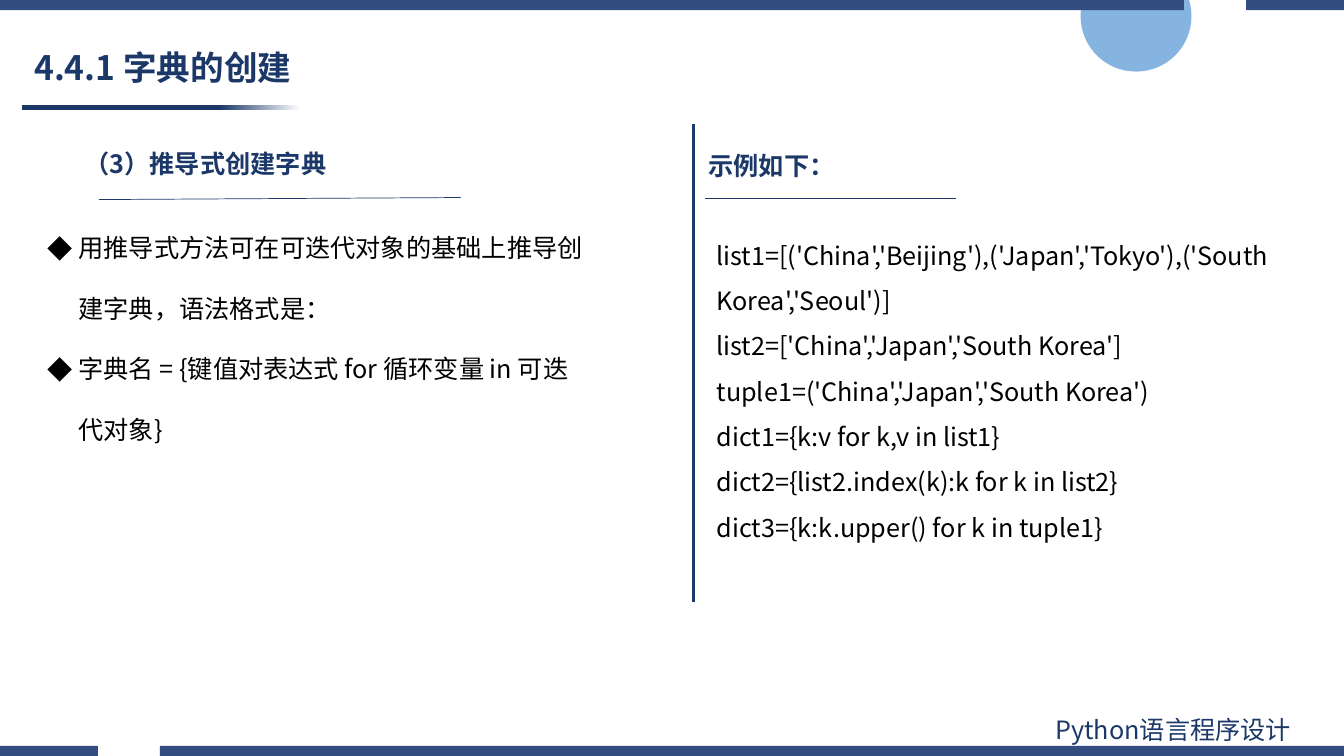
from lxml import etree
from pptx import Presentation, util as u
from pptx.dml.color import RGBColor
from pptx.enum import shapes, text
from pptx.oxml.ns import qn

NAVY = RGBColor(0x1B, 0x38, 0x68)
BAR = RGBColor(0x33, 0x4D, 0x80)
SKY = RGBColor(0x5B, 0x9B, 0xD5)
WHITE = RGBColor(0xFF, 0xFF, 0xFF)
BLACK = RGBColor(0, 0, 0)
FACE = "Noto Sans CJK SC"

PLAIN = {"size": u.Pt(18), "bold": False, "name": FACE}
HEAD = {**PLAIN, "bold": True}
TITLE = {**HEAD, "size": u.Pt(24)}

POINTS = [
    "用推导式方法可在可迭代对象的基础上推导创建字典，语法格式是：",
    "字典名 = {键值对表达式 for 循环变量 in 可迭代对象}",
]
CODE = [
    "list1=[('China','Beijing'),('Japan','Tokyo'),('South Korea','Seoul')]",
    "list2=['China','Japan','South Korea']",
    "tuple1=('China','Japan','South Korea')",
    "dict1={k:v for k,v in list1}",
    "dict2={list2.index(k):k for k in list2}",
    "dict3={k:k.upper() for k in tuple1}",
]


class Page:
    """One slide; all lengths are percentages of its width and height."""

    def __init__(self, deck):
        self.wide, self.high = deck.slide_width, deck.slide_height
        self.slide = deck.slides.add_slide(deck.slide_layouts[5])
        self.items = self.slide.shapes

    def x(self, part):
        return u.Emu(round(self.wide * part / 100))

    def y(self, part):
        return u.Emu(round(self.high * part / 100))

    def box(self, left, top, wide, high):
        return self.x(left), self.y(top), self.x(wide), self.y(high)

    def shape(self, kind, *area):
        item = self.items.add_shape(kind, *self.box(*area))
        item.shadow.inherit = False
        item.line.fill.background()
        return item

    def disc(self, *area, alpha):
        item = self.shape(shapes.MSO_SHAPE.OVAL, *area)
        item.fill.solid()
        item.fill.fore_color.rgb = SKY
        tint = item._element.spPr.find(qn("a:solidFill"))[0]
        etree.SubElement(tint, qn("a:alpha")).set("val", str(alpha * 1000))

    def fade(self, *area, start):
        """Bar that is navy up to the share start, then fades to white."""
        fill = self.shape(shapes.MSO_SHAPE.RECTANGLE, *area).fill
        fill.gradient()
        fill.gradient_angle = 0
        for stop, tint, place in zip(fill.gradient_stops, (NAVY, WHITE), (start, 1)):
            stop.color.rgb = tint
            stop.position = place

    def band(self, top, high, spans):
        """Strip across the slide, drawn as one outline with gaps."""
        low, base = self.y(top), self.y(top + high)
        pen = self.items.build_freeform(self.x(spans[0][0]), low)
        for left, right in spans:
            start, end = self.x(left), self.x(right)
            pen.move_to(start, low)
            pen.add_line_segments([(end, low), (end, base), (start, base)])
        item = pen.convert_to_shape()
        item.shadow.inherit = False
        item.fill.solid()
        item.fill.fore_color.rgb = BAR
        item.line.fill.background()

    def line(self, left, top, right, base, width=0.5):
        item = self.items.add_connector(
            shapes.MSO_CONNECTOR.STRAIGHT,
            self.x(left), self.y(top), self.x(right), self.y(base))
        item.line.color.rgb = NAVY
        item.line.width = u.Pt(width)
        etree.SubElement(item._element.spPr, qn("a:effectLst"))

    def fill_in(self, frame, lines, style, tint, gap, mark=None):
        frame.word_wrap = True
        for i, words in enumerate(lines):
            para = frame.paragraphs[0] if i == 0 else frame.add_paragraph()
            para.alignment = text.PP_ALIGN.LEFT
            para.line_spacing = gap
            if mark:
                props = para._p.get_or_add_pPr()
                props.set("marL", str(u.Inches(0.31)))
                props.set("indent", str(u.Inches(-0.31)))
                etree.SubElement(props, qn("a:buFont")).set("typeface", FACE)
                etree.SubElement(props, qn("a:buChar")).set("char", mark)
            run = para.add_run()
            run.text = words
            for key, value in style.items():
                setattr(run.font, key, value)
            run.font.color.rgb = tint
            etree.SubElement(run._r.get_or_add_rPr(), qn("a:ea")).set("typeface", FACE)

    def text(self, area, *lines, style=PLAIN, tint=BLACK, gap=1.0, mark=None):
        item = self.items.add_textbox(*self.box(*area))
        self.fill_in(item.text_frame, lines, style, tint, gap, mark)

    def title(self, area, words):
        item = self.items.title
        item.left, item.top, item.width, item.height = self.box(*area)
        frame = item.text_frame
        frame.auto_size = text.MSO_AUTO_SIZE.NONE
        frame.vertical_anchor = text.MSO_ANCHOR.MIDDLE
        self.fill_in(frame, [words], TITLE, NAVY, 0.9)


def main():
    deck = Presentation()
    deck.slide_width, deck.slide_height = u.Inches(13.33), u.Inches(7.5)
    page = Page(deck)

    page.disc(80.4, -5.2, 8.25, 14.67, alpha=75)
    page.fade(1.65, 13.93, 20.7, 0.67, start=0.71)
    spans = [(0, 7.28), (11.9, 100)]
    page.band(98.67, 1.33, spans)
    page.band(0, 1.33, [(100 - right, 100 - left) for left, right in spans])
    page.text((77.78, 93.87, 22.05, 5.33), "Python语言程序设计", tint=NAVY)
    page.title((1.8, 5.47, 45.3, 7.47), "4.4.1 字典的创建")

    page.text((5.55, 18.93, 25.5, 5.33), "（3）推导式创建字典", style=HEAD, tint=NAVY)
    page.line(7.35, 26.4, 34.28, 26.13)
    page.text((2.78, 26.13, 41.63, 32.4), *POINTS, gap=2.0, mark="◆")

    page.line(51.6, 16.4, 51.6, 79.6, width=2)
    page.text((51.98, 19.2, 25.5, 5.33), "示例如下：", style=HEAD, tint=NAVY)
    page.line(52.43, 26.27, 71.1, 26.27)
    page.text((52.58, 29.07, 44.93, 43.07), *CODE, gap=1.5)

    deck.save("out.pptx")


if __name__ == "__main__":
    main()
